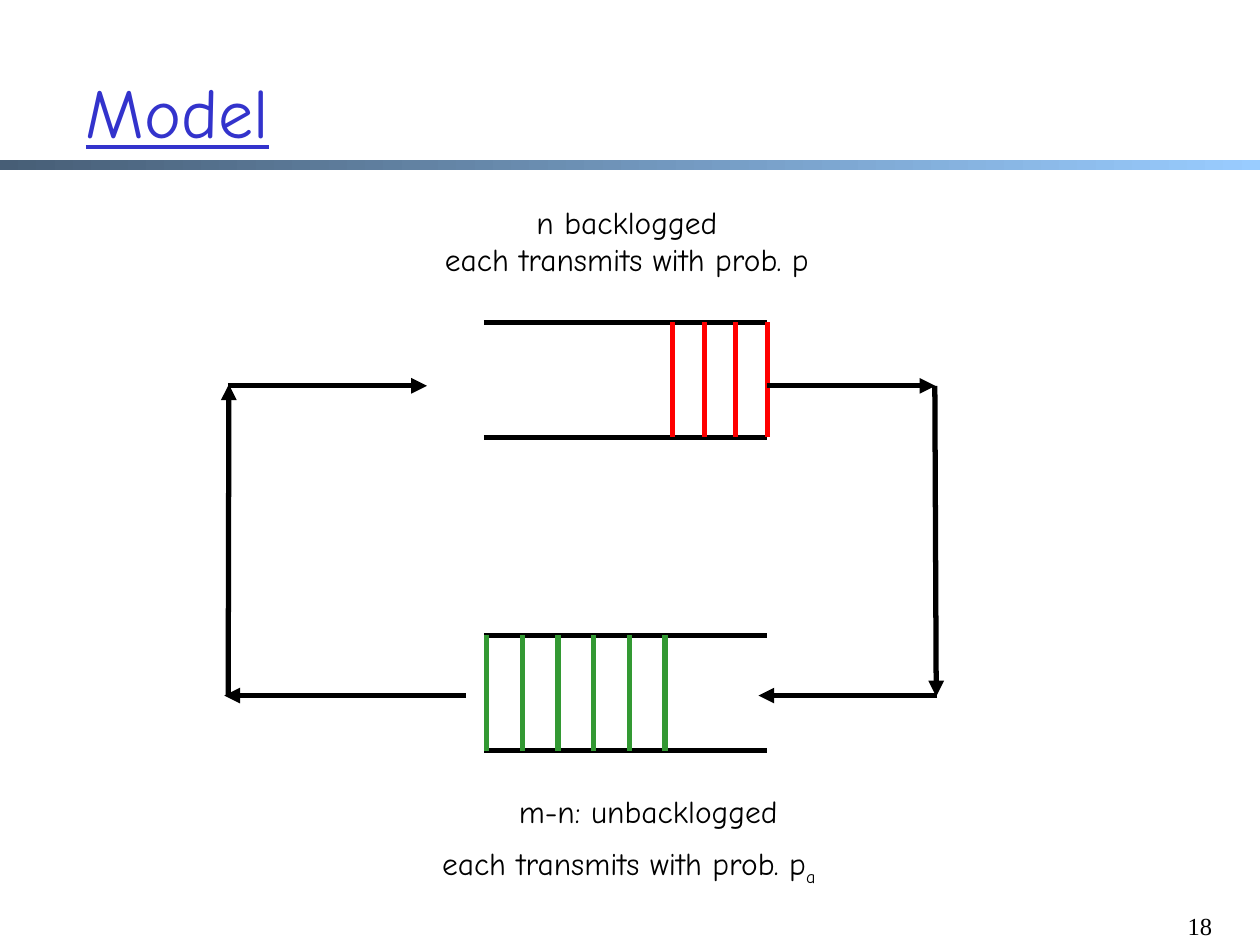
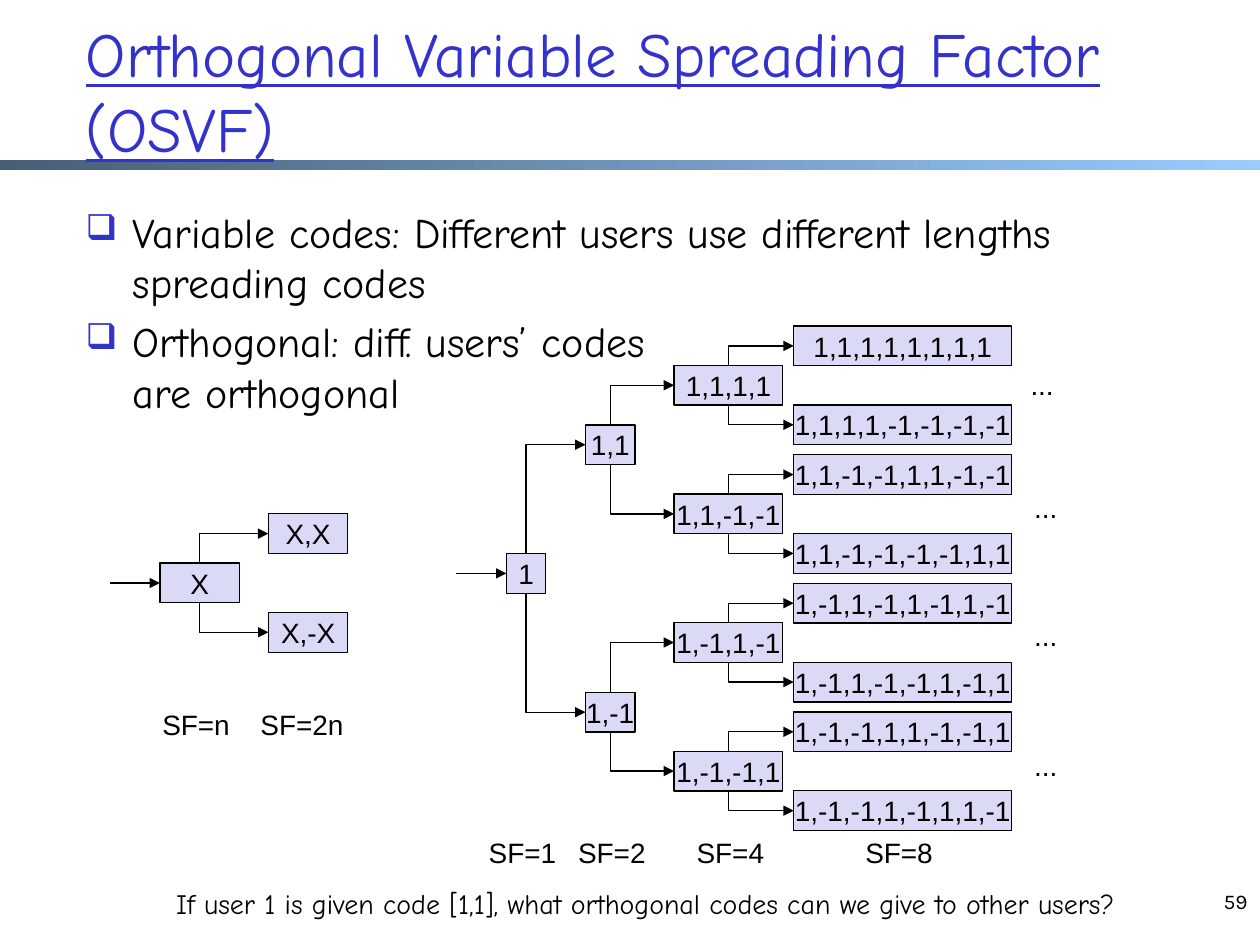
from dataclasses import dataclass

from lxml import etree
from pptx import Presentation
from pptx.dml.color import RGBColor
from pptx.enum import shapes, text
from pptx.oxml.ns import qn
from pptx.util import Pt

BLACK = RGBColor(0, 0, 0)
BLUE = RGBColor(0x33, 0x33, 0xCC)
RED = RGBColor(0xFF, 0, 0)
GREEN = RGBColor(0x33, 0x99, 0x33)
LILAC = RGBColor(0xDA, 0xDA, 0xF6)
SLATE = RGBColor(0x47, 0x5E, 0x76)
SKY = RGBColor(0x99, 0xCC, 0xFF)

COMIC, ARIAL = "Comic Neue", "Arial"
LEFT, CENTER, RIGHT = (text.PP_ALIGN.LEFT, text.PP_ALIGN.CENTER,
                       text.PP_ALIGN.RIGHT)
BOX_H = 22.7
ENTRY = 28.6
ABOVE, WEST, BELOW = 0, 1, 2


@dataclass
class Style:
    font: str
    size: float
    align: text.PP_ALIGN = LEFT
    wrap: bool = False


@dataclass
class Queue:
    top: float
    low: float
    bar: float
    pitch: float
    count: int
    color: RGBColor


@dataclass
class Column:
    x: float
    width: float
    tops: list[float]
    label: str
    label_x: float


@dataclass
class Tree:
    seed: str
    label_y: float
    columns: list[Column]


NOTE = Style(COMIC, 18)
CODE = Style(ARIAL, 16)

QUEUES = [
    Queue(184.3, 249.8, 384.5, 18, 4, RED),
    Queue(363, 429, 278, 20.4, 6, GREEN),
]
ARROWS = [
    (130.3, 220.5, 244, 220.5),
    (438.5, 220.5, 534.5, 220.5),
    (534.2, 220.5, 535, 398),
    (535.5, 397.5, 433.4, 397.5),
    (266.4, 397.5, 128.2, 397.5),
    (130.4, 397.5, 130.8, 219.6),
]

STEP, SPLIT = 73.5, 45.1
TREES = [
    Tree("X", 401, [
        Column(91.4, 45.4, [321.8], "SF=n", 85.7),
        Column(153.4, 45.4, [293.6, 350], "SF=2n", 141.8),
    ]),
    Tree("1", 473.8, [
        Column(289.4, 22.5, [316.3], "SF=1", 272.2),
        Column(334.6, 28.2, [242.8, 395.6], "SF=2", 323.3),
        Column(385.2, 62.2, [208.8 + STEP * i for i in range(4)],
               "SF=4", 391),
        Column(453.6, 124.6, [186.3 + STEP * i + SPLIT * j
                              for i in range(4) for j in range(2)],
               "SF=8", 487.4),
    ]),
]
DOTS = [(581.8, 206.6), (583.9, 276.6), (583.9, 350.2), (583.9, 424)]


def add_run(para, words: str, style: Style, color: RGBColor = BLACK):
    run = para.add_run()
    run.text = words
    run.font.name, run.font.size = style.font, Pt(style.size)
    run.font.color.rgb = color
    return run


def add_text(slide, x: float, y: float, w: float, h: float,
             lines: list[str], style: Style):
    box = slide.shapes.add_textbox(Pt(x), Pt(y), Pt(w), Pt(h))
    frame = box.text_frame
    frame.word_wrap = style.wrap
    for i, line in enumerate(lines):
        para = frame.add_paragraph() if i else frame.paragraphs[0]
        para.alignment = style.align
        add_run(para, line, style)
    return frame


def add_line(slide, ends: tuple, color: RGBColor = BLACK, width: float = 3,
             arrow: bool = False, kind=shapes.MSO_CONNECTOR.STRAIGHT):
    line = slide.shapes.add_connector(kind, *(Pt(v) for v in ends))
    line.line.color.rgb, line.line.width = color, Pt(width)
    if arrow:
        stroke = line.line._get_or_add_ln()
        etree.SubElement(stroke, qn("a:tailEnd"), type="triangle")
    etree.SubElement(line.element.spPr, qn("a:effectLst"))
    return line


def add_slide(prs, title: str, size: float, top: float, width: float):
    """Start a slide with the gradient band and the underlined title."""
    slide = prs.slides.add_slide(prs.slide_layouts[5])
    head = slide.shapes.title
    band = slide.shapes.add_shape(shapes.MSO_SHAPE.RECTANGLE, 0, Pt(91.4),
                                  prs.slide_width, Pt(5.8))
    head.element.addprevious(band.element)
    band.shadow.inherit = False
    band.line.fill.background()
    band.fill.gradient()
    band.fill.gradient_angle = 0
    for stop, color in zip(band.fill.gradient_stops, (SLATE, SKY)):
        stop.color.rgb = color

    head.left, head.top = Pt(41.8), Pt(top)
    head.width, head.height = Pt(width), Pt(90)
    frame = head.text_frame
    frame.auto_size = text.MSO_AUTO_SIZE.NONE
    frame.vertical_anchor = text.MSO_ANCHOR.MIDDLE
    para = frame.paragraphs[0]
    para.alignment = LEFT
    add_run(para, title, Style(COMIC, size), BLUE).font.underline = True
    return slide


def draw_queue(slide, queue: Queue) -> None:
    for y in (queue.top, queue.low):
        add_line(slide, (276.5, y, 438.5, y))
    for i in range(queue.count):
        x = queue.bar + queue.pitch * i
        add_line(slide, (x, queue.top, x, queue.low), queue.color)


def add_box(slide, x: float, y: float, w: float, words: str):
    box = slide.shapes.add_shape(shapes.MSO_SHAPE.RECTANGLE,
                                 Pt(x), Pt(y), Pt(w), Pt(BOX_H))
    box.shadow.inherit = False
    box.fill.solid()
    box.fill.fore_color.rgb = LILAC
    box.line.color.rgb, box.line.width = BLACK, Pt(0.75)
    frame = box.text_frame
    frame.word_wrap = False
    frame.vertical_anchor = text.MSO_ANCHOR.MIDDLE
    para = frame.paragraphs[0]
    para.alignment = CENTER
    add_run(para, words, CODE)
    return box


def add_bend(slide, parent, child, up: bool) -> None:
    """Join two boxes by a one-corner arrow, first vertical, then right."""
    bend = add_line(slide, (0, 0, 1, 1), width=0.75, arrow=True,
                    kind=shapes.MSO_CONNECTOR.ELBOW)
    bend.begin_connect(parent, ABOVE if up else BELOW)
    bend.end_connect(child, WEST)
    x, y = bend.begin_x, bend.begin_y
    dx, dy = bend.end_x - x, bend.end_y - y
    # The frame is stored unrotated, about the same centre
    bend.width, bend.height = abs(dy), dx
    bend.left = x + (dx - abs(dy)) // 2
    bend.top = y + (dy - dx) // 2
    frame = bend.element.spPr.find(qn("a:xfrm"))
    for flip in ("flipH", "flipV"):
        frame.attrib.pop(flip, None)
    frame.set("rot", "16200000")
    if not up:
        frame.set("flipH", "1")
    bend.element.spPr.find(qn("a:prstGeom")).set("prst", "bentConnector2")


def spread(code: list[str]) -> list[list[str]]:
    """Give the two codes of double length that follow a code."""
    minus = [c[1:] if c.startswith("-") else "-" + c for c in code]
    return [code + code, code + minus]


def draw_tree(slide, tree: Tree) -> None:
    codes, parents = [[tree.seed]], []
    for col in tree.columns:
        boxes = [add_box(slide, col.x, top, col.width, ",".join(code))
                 for top, code in zip(col.tops, codes)]
        if parents:
            for i, box in enumerate(boxes):
                add_bend(slide, parents[i // 2], box, i % 2 == 0)
        else:
            y = col.tops[0] + BOX_H / 2
            entry = add_line(slide, (col.x - ENTRY, y, col.x, y),
                             width=0.75, arrow=True)
            entry.end_connect(boxes[0], WEST)
        wide = 62.6 if len(col.label) > 4 else 53.3
        add_text(slide, col.label_x, tree.label_y, wide, 26.6,
                 [col.label], CODE)
        parents = boxes
        codes = [new for code in codes for new in spread(code)]


def add_bullets(slide, items: list[list[str]]) -> None:
    style = Style(COMIC, 24, wrap=True)
    box = slide.shapes.add_textbox(Pt(41.8), Pt(114.5), Pt(612), Pt(365.8))
    frame = box.text_frame
    frame.word_wrap = True
    for i, lines in enumerate(items):
        para = frame.add_paragraph() if i else frame.paragraphs[0]
        props = para._p.get_or_add_pPr()
        props.set("marL", str(Pt(27)))
        props.set("indent", str(Pt(-27)))
        tint = etree.SubElement(props, qn("a:buClr"))
        etree.SubElement(tint, qn("a:srgbClr"), val=str(BLUE))
        etree.SubElement(props, qn("a:buSzPct"), val="85000")
        etree.SubElement(props, qn("a:buChar"), char="❑")
        if i:
            para.space_before = Pt(4.8)
        for j, line in enumerate(lines):
            if j:
                para.add_line_break()
            add_run(para, line, style)


def draw_model(prs) -> None:
    slide = add_slide(prs, "Model", 40, 18, 632.2)
    add_text(slide, 666, 517, 33.8, 23, ["18"],
             Style("Times New Roman", 14, RIGHT, True))
    for queue in QUEUES:
        draw_queue(slide, queue)
    for ends in ARROWS:
        add_line(slide, ends, arrow=True)
    add_text(slide, 236.2, 112.3, 244, 50.4,
             ["n backlogged", "each transmits with prob. p"],
             Style(COMIC, 18, CENTER))
    add_text(slide, 289.4, 449.3, 167.8, 28.8, ["m-n: unbacklogged"], NOTE)
    frame = add_text(slide, 245.5, 478.8, 250.6, 28.8,
                     ["each transmits with prob. p"], NOTE)
    sub = add_run(frame.paragraphs[0], "a", NOTE)
    sub._r.get_or_add_rPr().set("baseline", "-25000")


def draw_codes(prs) -> None:
    slide = add_slide(prs, "Orthogonal Variable Spreading Factor (OSVF)",
                      35.9, 6.5, 612)
    add_text(slide, 552.2, 504, 167.8, 36, ["59"],
             Style("Karla", 12, RIGHT, True))
    add_bullets(slide, [
        ["Variable codes: Different users use different lengths "
         "spreading codes"],
        ["Orthogonal: diff. users’ codes", "are orthogonal"],
    ])
    for tree in TREES:
        draw_tree(slide, tree)
    for x, y in DOTS:
        add_text(slide, x, y, 28, 26.6, ["..."], CODE)
    add_text(slide, 42.5, 503.3, 653, 26.6,
             ["If user 1 is given code [1,1], what orthogonal codes "
              "can we give to other users?"],
             Style(COMIC, 16, CENTER, True))


def main() -> None:
    prs = Presentation()
    prs.slide_width, prs.slide_height = Pt(720), Pt(540)
    draw_model(prs)
    draw_codes(prs)
    prs.save("out.pptx")


if __name__ == "__main__":
    main()
